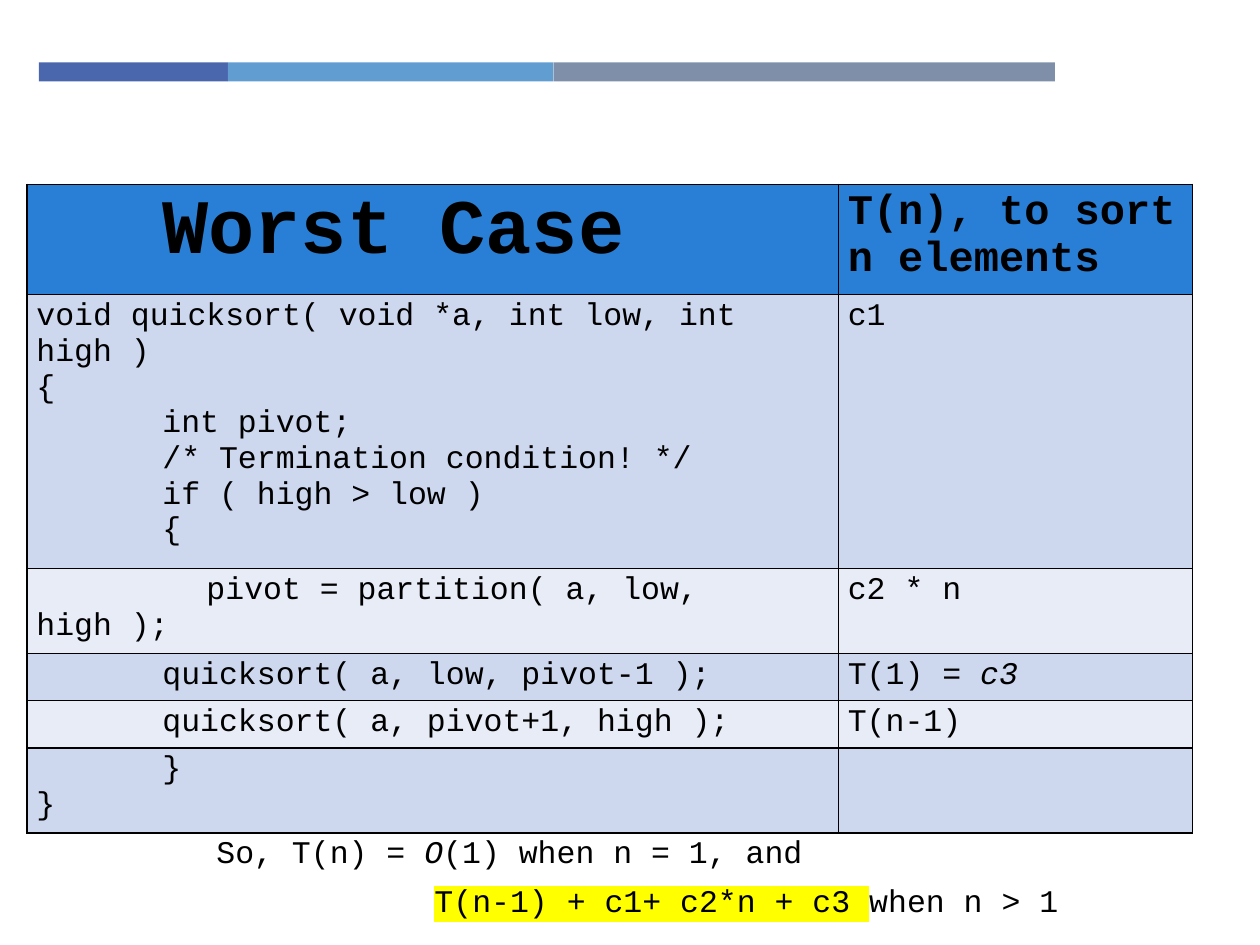
from lxml.etree import SubElement
from pptx import Presentation
from pptx.dml.color import RGBColor
from pptx.enum.shapes import MSO_SHAPE as Preset
from pptx.oxml.ns import qn
from pptx.util import Pt

FONT = "Courier New"
BLACK, HEADER, DARK_BAND, LIGHT_BAND = "000000", "297FD5", "CDD8EF", "E8ECF7"
TAB = 72

# Each cell is a list of lines; each line is (left margin, first-line indent, runs).
HEADINGS = [
    [(TAB, 0, [("Worst Case", {"size": 44, "bold": True})])],
    [(0, 0, [("T(n), to sort n elements", {"size": 24, "bold": True})])],
]


def line(text, margin=0, indent=0):
    return margin, indent, [(text, {})]


ROWS = [
    HEADINGS,
    [[line("void quicksort( void *a, int low, int high )"),
      line("{"),
      line("int pivot;", TAB),
      line("/* Termination condition! */", TAB),
      line("if ( high > low )", TAB),
      line("{", TAB)],
     [line("c1")]],
    [[line("pivot = partition( a, low, high );", indent=97.2)], [line("c2 * n")]],
    [[line("quicksort( a, low, pivot-1 );", TAB)],
     [(0, 0, [("T(1) = ", {}), ("c3", {"italic": True})])]],
    [[line("quicksort( a, pivot+1, high );", TAB)], [line("T(n-1)")]],
    [[line("}", TAB), line("}")], []],
]
COLUMN_WIDTHS = [463.7, 202.3]
ROW_HEIGHTS = [63, 156.6, 48.6, 26.9, 26.9, 48.6]

CONCLUSION = [
    (0, 0, [("So, T(n) = ", {}), ("O", {"italic": True}), ("(1) when n = 1, and", {})]),
    (124.6, 0, [("T(n-1) + c1+ c2*n + c3 ", {"highlight": "FFFF00"}),
                ("when n > 1", {})]),
]


def color(hex_value):
    return RGBColor.from_string(hex_value)


def add_text(para, text, size=18, bold=False, italic=False, highlight=None):
    span = para.add_run()
    span.text = text
    font = span.font
    font.name, font.size, font.bold, font.italic = FONT, Pt(size), bold, italic
    font.color.rgb = color(BLACK)
    if highlight:
        properties = span.font._element
        mark = SubElement(properties, qn("a:highlight"))
        SubElement(mark, qn("a:srgbClr"), val=highlight)
        properties.find(qn("a:solidFill")).addnext(mark)


def fill_lines(frame, lines, spacing=None):
    for index, (margin, indent, runs) in enumerate(lines):
        para = frame.add_paragraph() if index else frame.paragraphs[0]
        properties = para._p.get_or_add_pPr()
        properties.set("marL", str(Pt(margin)))
        properties.set("indent", str(Pt(indent)))
        if spacing:
            para.line_spacing = spacing
        for text, style in runs:
            add_text(para, text, **style)


def outline_cell(cell):
    """Give the cell a 1 pt black border; call before setting its fill."""
    properties = cell._tc.get_or_add_tcPr()
    for side in ("lnL", "lnR", "lnT", "lnB"):
        border = SubElement(properties, qn(f"a:{side}"), w=str(Pt(1)))
        paint = SubElement(border, qn("a:solidFill"))
        SubElement(paint, qn("a:srgbClr"), val=BLACK)


def add_top_bar(page, left, top, height):
    for width, fill in [(108, "4A66AC"), (186, "629DD1"), (286.5, "7F8FA9")]:
        bar = page.shapes.add_shape(Preset.RECTANGLE, Pt(left), Pt(top), Pt(width), Pt(height))
        bar.shadow.inherit = False
        bar.fill.solid()
        bar.fill.fore_color.rgb = color(fill)
        bar.line.fill.background()
        left += width


def add_cost_table(page, left, top):
    table = page.shapes.add_table(
        len(ROWS), len(COLUMN_WIDTHS), Pt(left), Pt(top),
        Pt(sum(COLUMN_WIDTHS)), Pt(sum(ROW_HEIGHTS))).table
    for column, width in zip(table.columns, COLUMN_WIDTHS):
        column.width = Pt(width)
    for index, (row, height) in enumerate(zip(table.rows, ROW_HEIGHTS)):
        row.height = Pt(height)
        band = HEADER if index == 0 else (DARK_BAND if index % 2 else LIGHT_BAND)
        for cell, lines in zip(row.cells, ROWS[index]):
            outline_cell(cell)
            cell.fill.solid()
            cell.fill.fore_color.rgb = color(band)
            cell.margin_left = cell.margin_right = Pt(5.4)
            cell.margin_top = cell.margin_bottom = Pt(2.7)
            fill_lines(cell.text_frame, lines)


def add_conclusion(page, left, top, width, height):
    box = page.shapes.add_textbox(Pt(left), Pt(top), Pt(width), Pt(height))
    box.text_frame.word_wrap = True
    fill_lines(box.text_frame, CONCLUSION, spacing=1.29)


def main():
    deck = Presentation()
    deck.slide_width, deck.slide_height = Pt(720), Pt(540)
    page = deck.slides.add_slide(deck.slide_layouts[6])
    add_top_bar(page, 22.3, 35.7, 10.8)
    add_cost_table(page, 15.4, 105.4)
    add_conclusion(page, 116.6, 465.8, 520.6, 57.6)
    deck.save("out.pptx")


if __name__ == "__main__":
    main()
